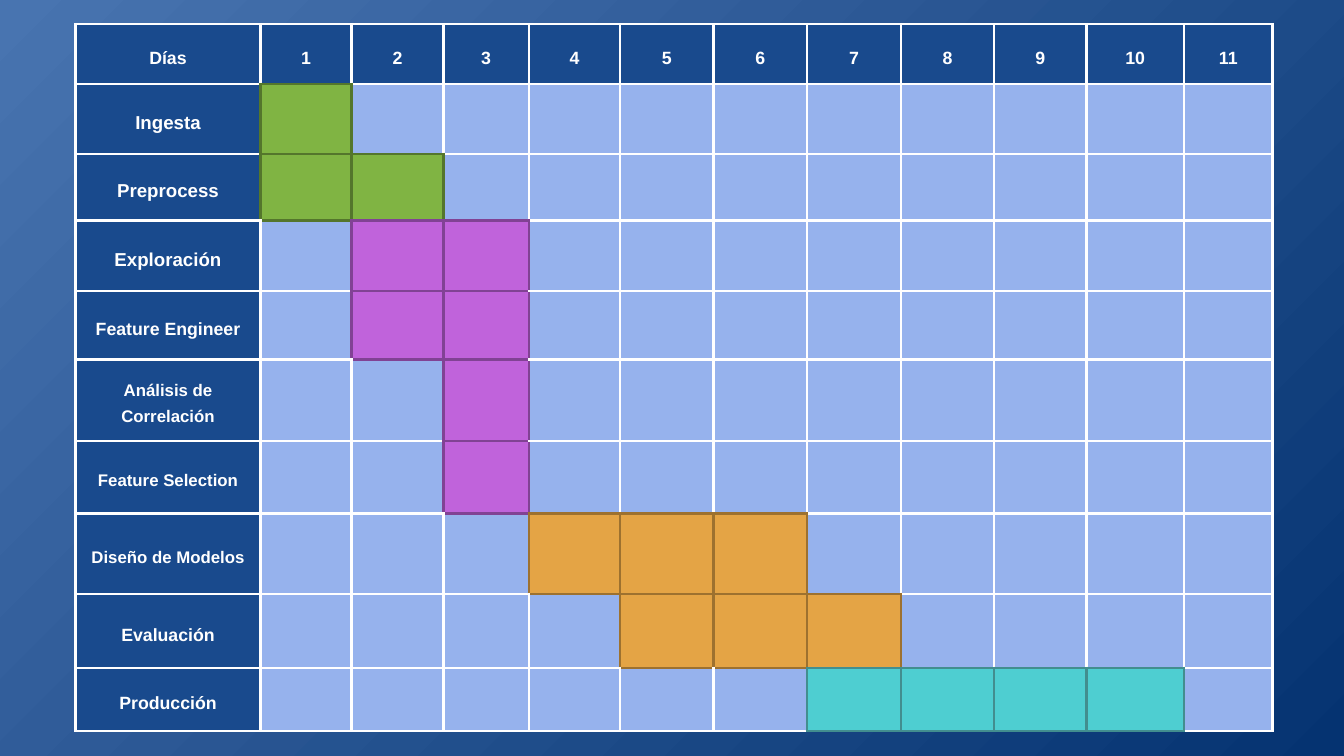
import lxml.etree
import pptx
import pptx.dml.color
import pptx.enum.text
import pptx.oxml.ns
import pptx.util

THEME = {
    "font": "Arial",
    "text": "FFFFFF",
    "heading": "194A8D",
    "idle": "96B2ED",
    "grid": "FFFFFF",
    "backdrop": ("4874B0", "053371"),
    "data": ("80B443", "54762C"),
    "analysis": ("C063DB", "814294"),
    "modelling": ("E4A445", "9D712F"),
    "delivery": ("4ECED1", "428E8F"),
    "day_size": 19,
    "line": 3,
}

TASKS = [
    ("Ingesta", 20, 1, 1, "data"),
    ("Preprocess", 20, 1, 2, "data"),
    ("Exploración", 20, 2, 3, "analysis"),
    ("Feature Engineer", 19, 2, 3, "analysis"),
    ("Análisis de Correlación", 18, 3, 3, "analysis"),
    ("Feature Selection", 18, 3, 3, "analysis"),
    ("Diseño de Modelos", 18, 4, 6, "modelling"),
    ("Evaluación", 19, 5, 7, "modelling"),
    ("Producción", 19, 7, 10, "delivery"),
]
DAYS = 11
COLUMN_WIDTHS = [2.76, 1.35, 1.37, 1.27, 1.36, 1.39, 1.39, 1.4, 1.38, 1.38, 1.45, 1.32]
ROW_HEIGHTS = [0.89, 1.04, 0.99, 1.05, 1.02, 1.21, 1.08, 1.2, 1.1, 0.94]

qn = pptx.oxml.ns.qn
rgb = pptx.dml.color.RGBColor.from_string


def draw_border(cell, side, color):
    line = lxml.etree.SubElement(
        cell._tc.get_or_add_tcPr(), qn(f"a:ln{side}"), w=str(pptx.util.Pt(THEME["line"]))
    )
    solid = lxml.etree.SubElement(line, qn("a:solidFill"))
    lxml.etree.SubElement(solid, qn("a:srgbClr"), val=color)


deck = pptx.Presentation()
deck.slide_width = pptx.util.Inches(20)
deck.slide_height = pptx.util.Inches(11.25)
plan = deck.slides.add_slide(deck.slide_layouts[6])

backdrop = plan.background.fill
backdrop.gradient()
for stop, color in zip(backdrop.gradient_stops, THEME["backdrop"]):
    stop.color.rgb = rgb(color)
for linear in plan.element.xpath(".//a:lin"):
    radial = lxml.etree.Element(qn("a:path"), path="circle")
    lxml.etree.SubElement(radial, qn("a:fillToRect"), l="0", t="0", r="100000", b="100000")
    linear.getparent().replace(linear, radial)

schedule = plan.shapes.add_table(
    len(ROW_HEIGHTS),
    len(COLUMN_WIDTHS),
    int(deck.slide_width * 0.056),
    int(deck.slide_height * 0.032),
    pptx.util.Inches(sum(COLUMN_WIDTHS)),
    pptx.util.Inches(sum(ROW_HEIGHTS)),
).table
schedule.first_row = False
schedule.horz_banding = False
for column, width in zip(schedule.columns, COLUMN_WIDTHS):
    column.width = pptx.util.Inches(width)
for row, height in zip(schedule.rows, ROW_HEIGHTS):
    row.height = pptx.util.Inches(height)

labels = {(0, 0): ("Días", THEME["day_size"])}
labels.update({(0, day): (str(day), THEME["day_size"]) for day in range(1, DAYS + 1)})
phases = {}
for task_row, (task, size, first_day, last_day, phase) in enumerate(TASKS, start=1):
    labels[task_row, 0] = (task, size)
    for day in range(first_day, last_day + 1):
        phases[task_row, day] = phase

inset = pptx.util.Inches(0.21)
cell_format = {
    "margin_left": inset,
    "margin_top": inset,
    "margin_right": inset,
    "margin_bottom": inset,
    "vertical_anchor": pptx.enum.text.MSO_ANCHOR.MIDDLE,
}
paragraph_format = {"alignment": pptx.enum.text.PP_ALIGN.CENTER, "line_spacing": 1.4}
font_format = {"name": THEME["font"], "bold": True}

for r in range(len(ROW_HEIGHTS)):
    for c in range(len(COLUMN_WIDTHS)):
        cell = schedule.cell(r, c)
        here = (r, c)
        # The lower or right-hand bar sets the colour of a shared edge.
        edges = {
            "L": (here, (r, c - 1)),
            "R": ((r, c + 1), here),
            "T": (here, (r - 1, c)),
            "B": ((r + 1, c), here),
        }
        for side, neighbours in edges.items():
            owners = [phases[spot] for spot in neighbours if spot in phases]
            draw_border(cell, side, THEME[owners[0]][1] if owners else THEME["grid"])

        cell.fill.solid()
        if here in labels:
            fill = THEME["heading"]
        elif here in phases:
            fill = THEME[phases[here]][0]
        else:
            fill = THEME["idle"]
        cell.fill.fore_color.rgb = rgb(fill)

        if here in labels:
            wording, size = labels[here]
            for name, value in cell_format.items():
                setattr(cell, name, value)
            paragraph = cell.text_frame.paragraphs[0]
            for name, value in paragraph_format.items():
                setattr(paragraph, name, value)
            run = paragraph.add_run()
            run.text = wording
            for name, value in font_format.items():
                setattr(run.font, name, value)
            run.font.size = pptx.util.Pt(size)
            run.font.color.rgb = rgb(THEME["text"])

deck.save("out.pptx")
